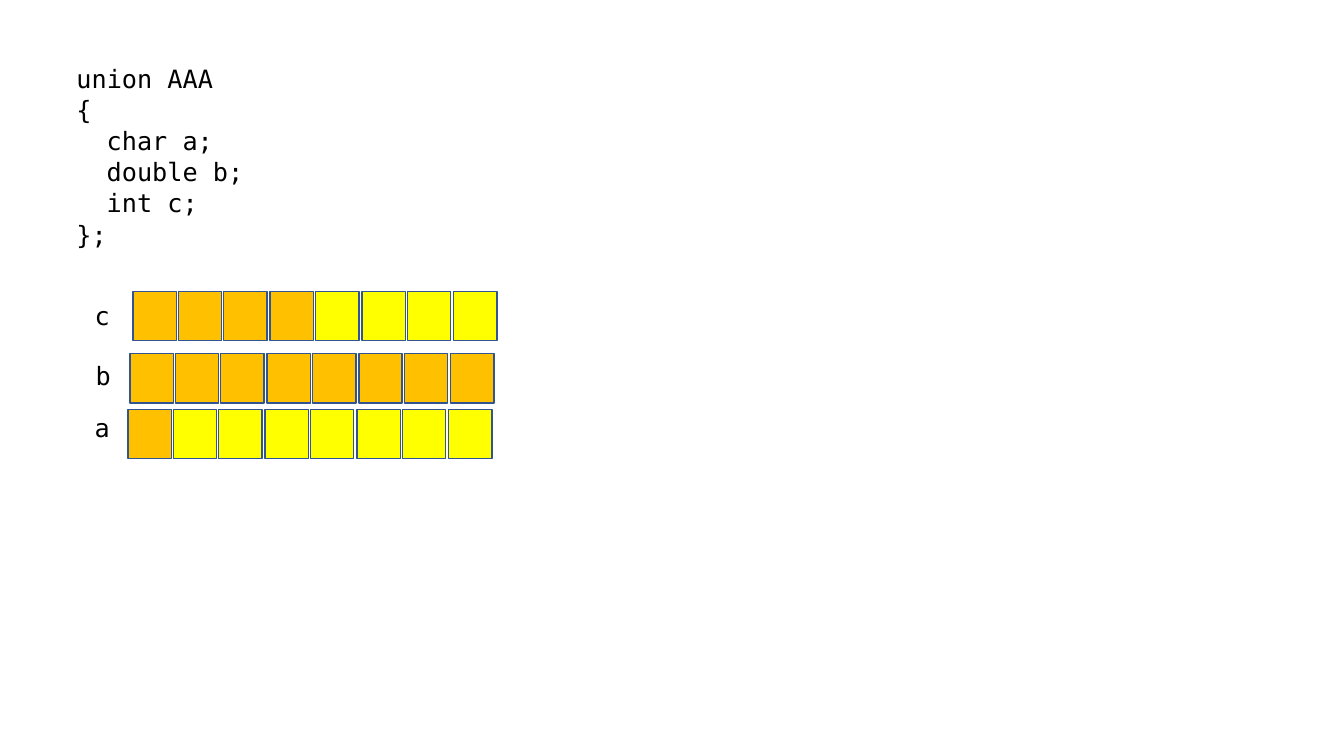
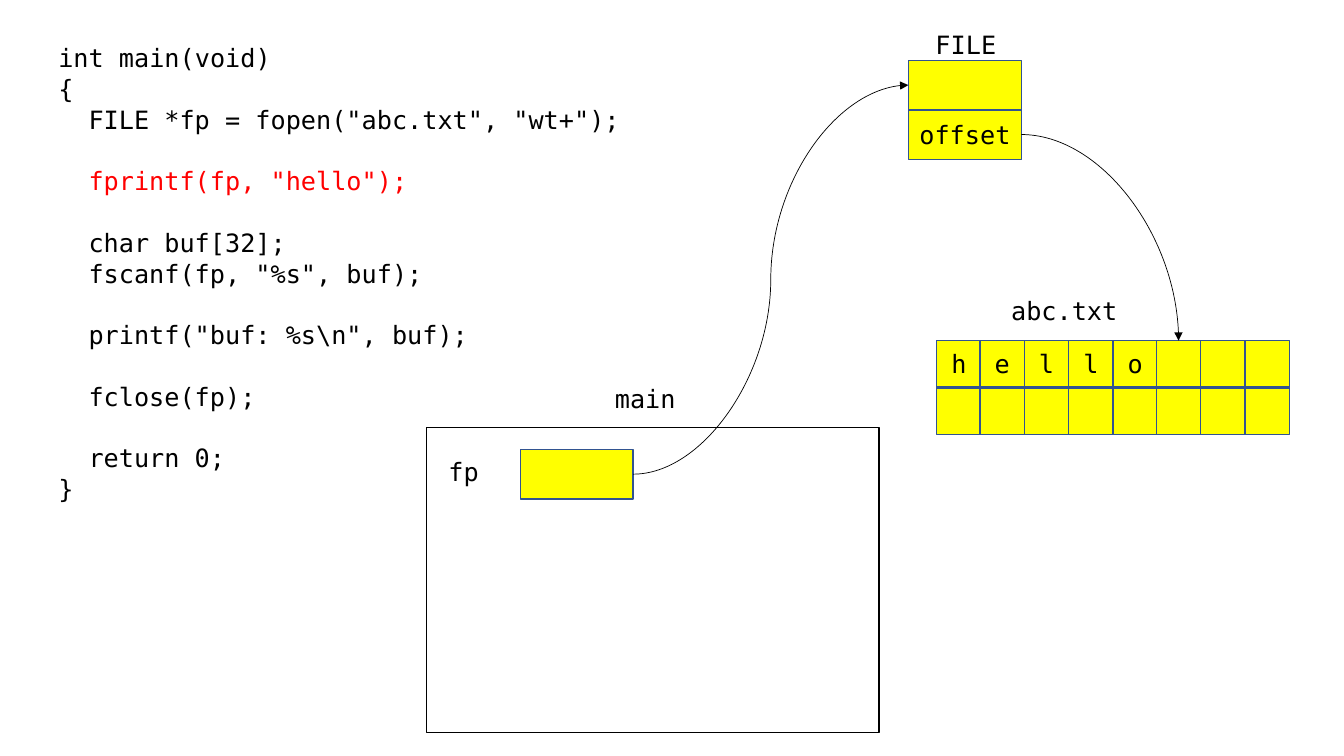
from lxml import etree
from pptx import Presentation
from pptx import util as u
from pptx.dml.color import RGBColor
from pptx.enum import shapes, text
from pptx.oxml.ns import qn

PX = 9144
FONT = "DejaVu Sans Mono"
SIZE = 18
LINE_HEIGHT = 21.6
INDENT = 30
BLACK = "000000"
WHITE = "FFFFFF"
RED = "FF0000"
YELLOW = "FFFF00"
ORANGE = "FFC000"
BLUE = "325491"
BYTES = 8
LEFT_SITE, RIGHT_SITE, TOP_SITE = 1, 3, 0

UNION_CODE = """union AAA
{
  char a;
  double b;
  int c;
};"""

FILE_CODE = r"""int main(void)
{
  FILE *fp = fopen("abc.txt", "wt+");

  fprintf(fp, "hello");

  char buf[32];
  fscanf(fp, "%s", buf);

  printf("buf: %s\n", buf);

  fclose(fp);

  return 0;
}"""


def px(*lengths):
    return [u.Emu(length * PX) for length in lengths]


def color(value):
    return RGBColor.from_string(value)


def style_paragraph(paragraph, font_color=BLACK):
    for run in paragraph.runs:
        run.font.name = FONT
        run.font.size = u.Pt(SIZE)
        run.font.color.rgb = color(font_color)


def add_text(slide, left, top, width, height, content):
    shape = slide.shapes.add_textbox(*px(left, top, width, height))
    frame = shape.text_frame
    frame.word_wrap = True
    frame.auto_size = text.MSO_AUTO_SIZE.SHAPE_TO_FIT_TEXT
    frame.text = content
    for paragraph in frame.paragraphs:
        style_paragraph(paragraph)
    return frame


def add_code(slide, left, top, height, code, highlight=None):
    lines = code.split("\n")
    visible = [i for i, line in enumerate(lines) if line]
    content = "\n".join(lines[i].strip() for i in visible)
    frame = add_text(slide, left, top, 667, height, content)
    for paragraph, i in zip(frame.paragraphs, visible):
        paragraph.line_spacing = LINE_HEIGHT / 20.95
        if lines[i].startswith(" "):
            paragraph._p.get_or_add_pPr().set("marL", str(INDENT * PX))
        if i and not lines[i - 1]:
            paragraph.space_before = u.Pt(LINE_HEIGHT)
        if highlight and highlight in lines[i]:
            style_paragraph(paragraph, RED)


def add_box(slide, left, top, width, height, fill=YELLOW, line=BLUE, label=""):
    shape = slide.shapes.add_shape(
        shapes.MSO_SHAPE.RECTANGLE, *px(left, top, width, height))
    shape.shadow.inherit = False
    shape.fill.solid()
    shape.fill.fore_color.rgb = color(fill)
    shape.line.color.rgb = color(line)
    shape.line.width = u.Pt(1)
    if label:
        frame = shape.text_frame
        frame.margin_left = frame.margin_right = 0
        frame.vertical_anchor = text.MSO_ANCHOR.MIDDLE
        frame.text = label
        paragraph = frame.paragraphs[0]
        paragraph.alignment = text.PP_ALIGN.CENTER
        style_paragraph(paragraph)
    return shape


def add_curved_arrow(slide, start, end, end_site, preset):
    arrow = slide.shapes.add_connector(shapes.MSO_CONNECTOR.CURVE, 0, 0, 0, 0)
    arrow.begin_connect(start, RIGHT_SITE)
    arrow.end_connect(end, end_site)
    arrow.line.color.rgb = color(BLACK)
    arrow.line.width = u.Pt(0.5)
    properties = arrow._element.spPr
    properties.find(qn("a:prstGeom")).set("prst", preset)
    line = properties.find(qn("a:ln"))
    etree.SubElement(line, qn("a:tailEnd"), type="triangle")
    etree.SubElement(properties, qn("a:effectLst"))


def add_member_row(slide, left, top, used):
    for i in range(BYTES):
        add_box(slide, left + i * 318 // (BYTES - 1), top, 43, 49,
                fill=ORANGE if i < used else YELLOW)


def add_file_cells(slide, left, top, content):
    cells = []
    for i in range(2 * BYTES):
        row, column = divmod(i, BYTES)
        cells.append(add_box(slide, left + column * 350 // BYTES,
                             top + row * 47, 44, 46, label=content[i:i + 1]))
    return cells


def build_union_slide(slide):
    add_code(slide, 66, 57, 192, UNION_CODE)
    members = [
        ("c", 84, 293, 132, 289, 4),
        ("b", 85, 353, 129, 351, 8),
        ("a", 84, 404, 127, 406, 1),
    ]
    for name, name_left, name_top, left, top, used in members:
        add_text(slide, name_left, name_top, 43, 40, name)
        add_member_row(slide, left, top, used)


def build_file_slide(slide):
    add_code(slide, 48, 36, 464, FILE_CODE, highlight="fprintf")
    add_box(slide, 423, 424, 449, 303, fill=WHITE, line=BLACK)
    pointer = add_box(slide, 516, 446, 112, 49)
    file_head = add_box(slide, 901, 60, 112, 49)
    offset = add_box(slide, 901, 109, 112, 49, label="offset")
    cells = add_file_cells(slide, 929, 338, "hello")
    labels = [
        ("main", 600, 375, 95),
        ("fp", 435, 448, 84),
        ("FILE", 918, 24, 95),
        ("abc.txt", 993, 288, 134),
    ]
    for name, left, top, width in labels:
        add_text(slide, left, top, width, 40, name)
    add_curved_arrow(slide, pointer, file_head, LEFT_SITE, "curvedConnector3")
    add_curved_arrow(slide, offset, cells[len("hello")], TOP_SITE,
                     "curvedConnector2")


def main():
    presentation = Presentation()
    presentation.slide_width, presentation.slide_height = px(1333, 750)
    for build in (build_union_slide, build_file_slide):
        build(presentation.slides.add_slide(presentation.slide_layouts[6]))
    presentation.save("out.pptx")


if __name__ == "__main__":
    main()
